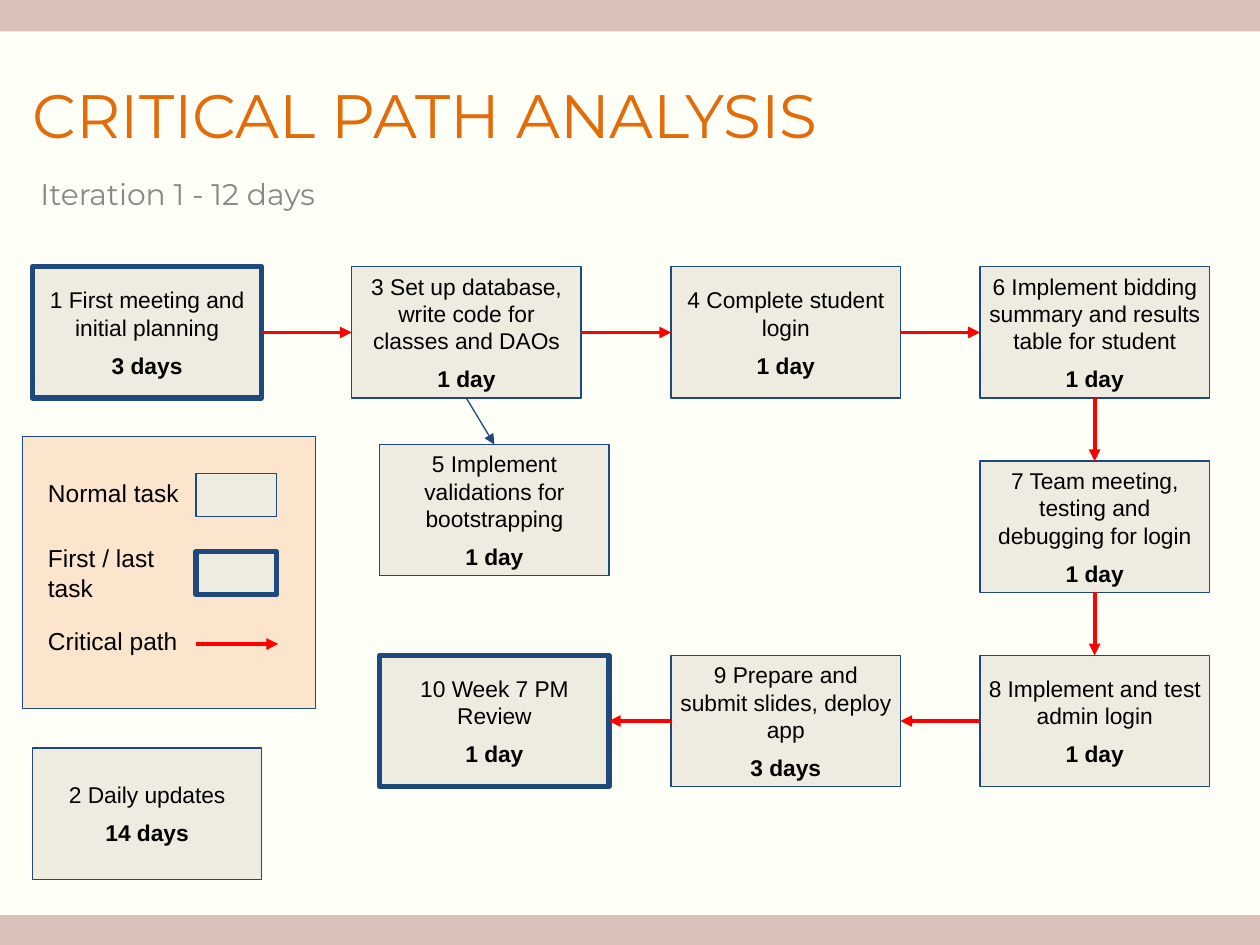
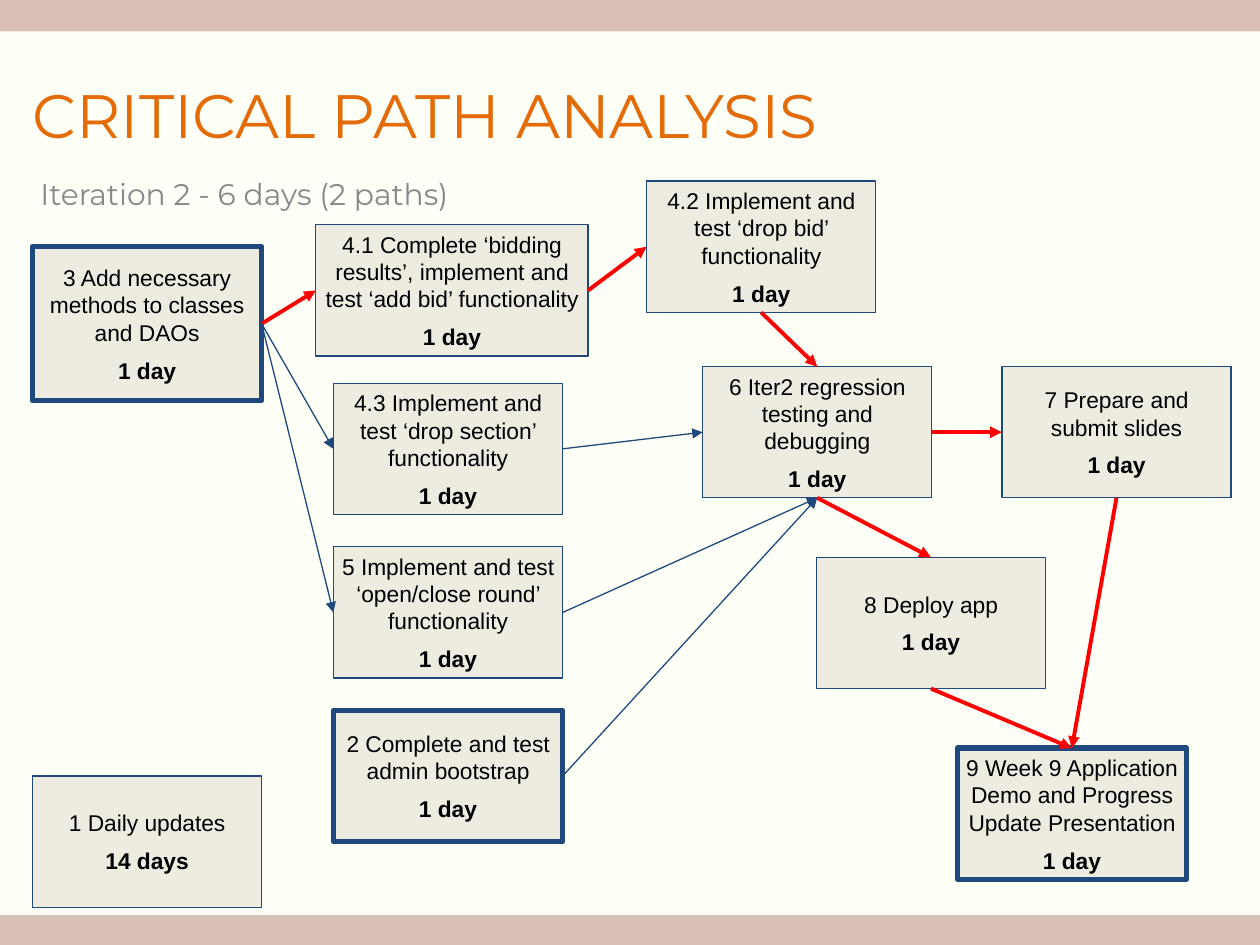
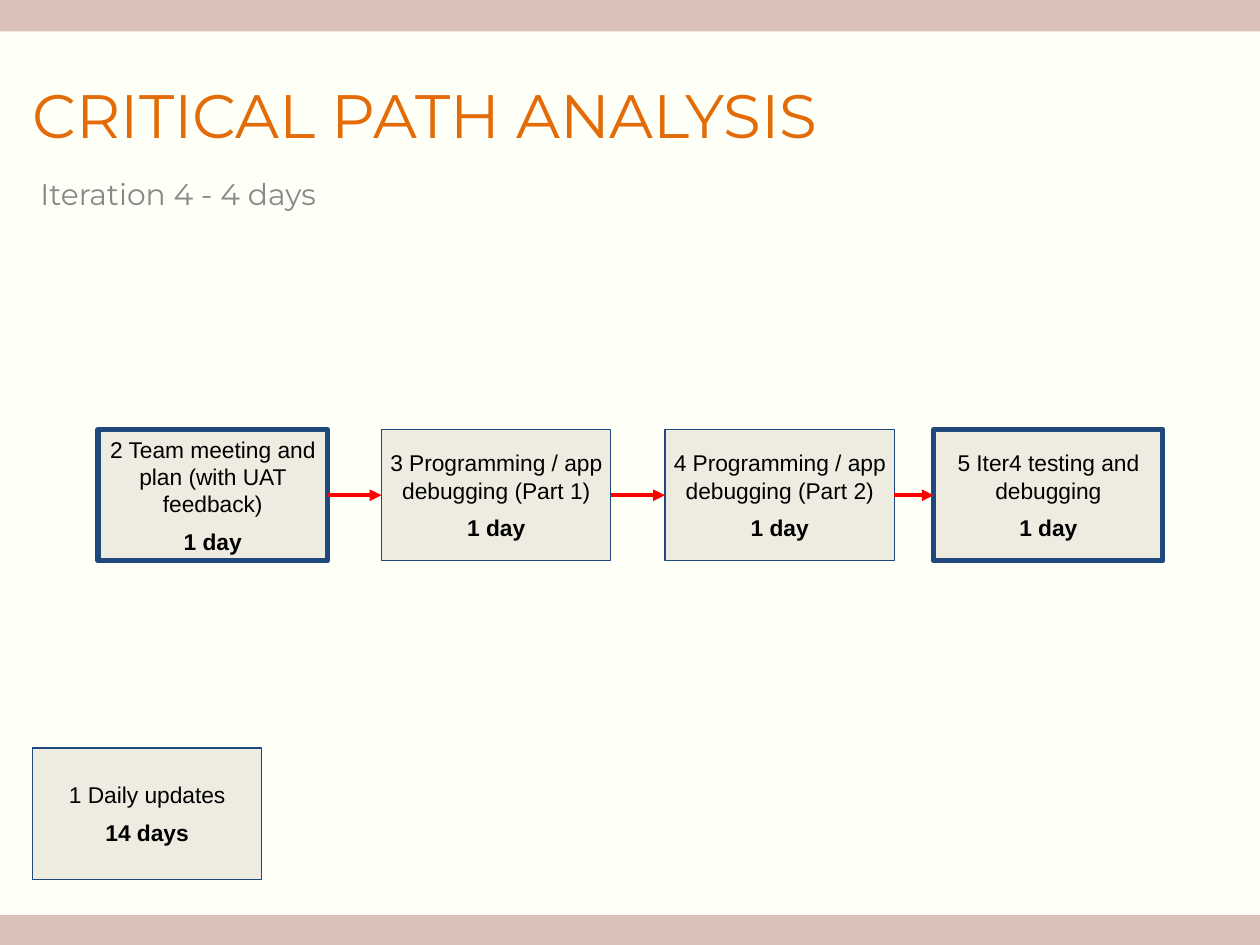
import lxml.etree
import pptx
import pptx.dml.color
import pptx.enum.shapes
import pptx.enum.text
import pptx.oxml.ns
import pptx.util

Pt = pptx.util.Pt
RGB = pptx.dml.color.RGBColor.from_string
qn = pptx.oxml.ns.qn
ALIGN = pptx.enum.text.PP_ALIGN
ANCHOR = pptx.enum.text.MSO_ANCHOR
RECTANGLE = pptx.enum.shapes.MSO_SHAPE.RECTANGLE
TOP, LEFT, BOTTOM, RIGHT = range(4)
NORMAL, MILESTONE, CRITICAL = "normal", "milestone", "critical"

theme = {
    "page": RGB("FEFFF7"),
    "band": RGB("D9C1BA"),
    "task": RGB("EEECE1"),
    "legend": RGB("FCE5CD"),
    "strokes": {
        NORMAL: (RGB("1F497D"), Pt(0.75)),
        MILESTONE: (RGB("1F497D"), Pt(3)),
        CRITICAL: (RGB("FF0000"), Pt(2.25)),
    },
    "text": {
        "title": {"name": "Montserrat", "size": Pt(35), "bold": False},
        "subtitle": {"name": "Montserrat", "size": Pt(17), "bold": False},
        "task": {"name": "Arial", "size": Pt(13)},
        "legend": {"name": "Arial", "size": Pt(14)},
    },
    "text_colors": {
        "title": RGB("E36C09"),
        "subtitle": RGB("888888"),
        "task": RGB("000000"),
        "legend": RGB("000000"),
    },
    "margins": {"title": (0, 0.7), "subtitle": (4.5, 4.5), "task": (4.5, 4.5), "legend": (7.2, 7.2)},
}

BOX_W, BOX_H = 131, 75
EDGE = 18.5
COL_2, COL_3, COL_4 = 201, 383.5, 560
REVIEW_X = 217
ROW_1, ROW_2, ROW_3 = (152.5 + 111 * row for row in range(3))
BRANCH_X = 190.5
TESTING_Y = 209.5
DAILY_Y = 427.5
SPRINT_Y = 245.5

iterations = [
    {
        "subtitle": "Iteration 1 - 12 days",
        "tasks": [
            ("1", "First meeting and initial planning", "3 days", EDGE, ROW_1, MILESTONE),
            ("3", "Set up database, write code for classes and DAOs", "1 day", COL_2, ROW_1, NORMAL),
            ("4", "Complete student login", "1 day", COL_3, ROW_1, NORMAL),
            ("5", "Implement validations for bootstrapping", "1 day", REVIEW_X, 254, NORMAL),
            ("6", "Implement bidding summary and results table for student", "1 day", COL_4, ROW_1, NORMAL),
            ("7", "Team meeting, testing and debugging for login", "1 day", COL_4, ROW_2, NORMAL),
            ("8", "Implement and test admin login", "1 day", COL_4, ROW_3, NORMAL),
            ("9", "Prepare and submit slides, deploy app", "3 days", COL_3, ROW_3, NORMAL),
            ("10", "Week 7 PM Review", "1 day", REVIEW_X, ROW_3, MILESTONE),
            ("2", "Daily updates", "14 days", EDGE, DAILY_Y, NORMAL),
        ],
        "routes": [
            ("1", RIGHT, "3", LEFT, CRITICAL),
            ("3", RIGHT, "4", LEFT, CRITICAL),
            ("4", RIGHT, "6", LEFT, CRITICAL),
            ("6", BOTTOM, "7", TOP, CRITICAL),
            ("7", BOTTOM, "8", TOP, CRITICAL),
            ("8", LEFT, "9", RIGHT, CRITICAL),
            ("9", LEFT, "10", RIGHT, CRITICAL),
            ("3", BOTTOM, "5", TOP, NORMAL),
        ],
    },
    {
        "subtitle": "Iteration 2 - 6 days (2 paths)",
        "tasks": [
            ("2", "Complete and test admin bootstrap", "1 day", BRANCH_X, 406, MILESTONE),
            ("3", "Add necessary methods to classes and DAOs", "1 day", EDGE, 141, MILESTONE),
            ("4.1", "Complete ‘bidding results’, implement and test ‘add bid’ functionality", "1 day", 180.5, 128.5, NORMAL),
            ("5", "Implement and test ‘open/close round’ functionality", "1 day", BRANCH_X, 312.5, NORMAL),
            ("6", "Iter2 regression testing and debugging", "1 day", 401.5, TESTING_Y, NORMAL),
            ("7", "Prepare and submit slides", "1 day", 572.5, TESTING_Y, NORMAL),
            ("8", "Deploy app", "1 day", 466.5, 318.5, NORMAL),
            ("4.3", "Implement and test ‘drop section’ functionality", "1 day", BRANCH_X, 219, NORMAL),
            ("4.2", "Implement and test ‘drop bid’ functionality", "1 day", 369.5, 103.5, NORMAL),
            ("9", "Week 9 Application Demo and Progress Update Presentation", "1 day", 547, DAILY_Y, MILESTONE),
            ("1", "Daily updates", "14 days", EDGE, 443.5, NORMAL),
        ],
        "sizes": {"3": (BOX_W, 88), "4.1": (155.5, BOX_H)},
        "routes": [
            ("3", RIGHT, "4.1", LEFT, CRITICAL),
            ("3", RIGHT, "4.3", LEFT, NORMAL),
            ("3", RIGHT, "5", LEFT, NORMAL),
            ("4.1", RIGHT, "4.2", LEFT, CRITICAL),
            ("4.3", RIGHT, "6", LEFT, NORMAL),
            ("5", RIGHT, "6", BOTTOM, NORMAL),
            ("4.2", BOTTOM, "6", TOP, CRITICAL),
            ("6", RIGHT, "7", LEFT, CRITICAL),
            ("8", BOTTOM, "9", TOP, CRITICAL),
            ("2", RIGHT, "6", BOTTOM, NORMAL),
            ("6", BOTTOM, "8", TOP, CRITICAL),
            ("7", BOTTOM, "9", TOP, CRITICAL),
        ],
    },
    {
        "subtitle": "Iteration 4 - 4 days",
        "tasks": [
            ("2", "Team meeting and plan (with UAT feedback)", "1 day", 56, SPRINT_Y, MILESTONE),
            ("3", "Programming / app debugging (Part 1)", "1 day", 218, SPRINT_Y, NORMAL),
            ("4", "Programming / app debugging (Part 2)", "1 day", 380, SPRINT_Y, NORMAL),
            ("5", "Iter4 testing and debugging", "1 day", 533.5, SPRINT_Y, MILESTONE),
            ("1", "Daily updates", "14 days", EDGE, DAILY_Y, NORMAL),
        ],
        "routes": [(str(n), RIGHT, str(n + 1), LEFT, CRITICAL) for n in (2, 3, 4)],
    },
]


def add_box(slide, left, top, width, height, fill, stroke=None):
    box = slide.shapes.add_shape(RECTANGLE, Pt(left), Pt(top), Pt(width), Pt(height))
    box.shadow.inherit = False
    box.fill.solid()
    box.fill.fore_color.rgb = fill
    if stroke:
        box.line.color.rgb, box.line.width = theme["strokes"][stroke]
    else:
        box.line.fill.background()
    return box


def add_arrow(slide, start_x, start_y, end_x, end_y, stroke):
    arrow = slide.shapes.add_connector(
        pptx.enum.shapes.MSO_CONNECTOR.STRAIGHT, Pt(start_x), Pt(start_y), Pt(end_x), Pt(end_y)
    )
    arrow.line.color.rgb, arrow.line.width = theme["strokes"][stroke]
    properties = arrow.element.spPr
    lxml.etree.SubElement(properties.find(qn("a:ln")), qn("a:tailEnd"), type="triangle")
    lxml.etree.SubElement(properties, qn("a:effectLst"))
    return arrow


prs = pptx.Presentation()
prs.slide_width, prs.slide_height = Pt(720), Pt(540)
layout = prs.slide_layouts[0]
layout.background.fill.solid()
layout.background.fill.fore_color.rgb = theme["page"]
for footer in list(layout.placeholders)[2:]:
    layout.shapes.element.remove(footer.element)

texts = []
slides = []
for iteration in iterations:
    slide = prs.slides.add_slide(layout)
    slides.append(slide)
    headings = [
        ("title", "CRITICAL PATH ANALYSIS", 43.2, 629, 52.5),
        ("subtitle", iteration["subtitle"], 95.8, 280, 43),
    ]
    for heading, (role, words, top, width, height) in zip(slide.placeholders, headings):
        placement = {"left": EDGE, "top": top, "width": width, "height": height}
        for side, value in placement.items():
            setattr(heading, side, Pt(value))
        heading.text_frame.text = words
        texts.append((heading.text_frame, role))

    tasks = {}
    for number, name, duration, left, top, stroke in iteration["tasks"]:
        width, height = iteration.get("sizes", {}).get(number, (BOX_W, BOX_H))
        task = add_box(slide, left, top, width, height, theme["task"], stroke)
        task.text_frame.text = f"{number} {name}\n{duration}"
        texts.append((task.text_frame, "task"))
        tasks[number] = task

    for origin, exit_side, target, entry_side, stroke in iteration["routes"]:
        route = add_arrow(slide, 0, 0, 0, 0, stroke)
        route.begin_connect(tasks[origin], exit_side)
        route.end_connect(tasks[target], entry_side)

first = slides[0]
for top, height in ((0, 18), (523, 17)):
    band = add_box(first, 0, top, 720, height, theme["band"])
    layout.shapes.element.insert(2, band.element)

add_box(first, 13, 249.3, 167.5, 155.5, theme["legend"], NORMAL)
for top, stroke in ((270.8, NORMAL), (315.3, MILESTONE)):
    add_box(first, 112, top, 46, 24.5, theme["task"], stroke)
add_arrow(first, 112, 368, 159, 368, CRITICAL)
for words, top in (("Normal task", 265.7), ("First / last task", 303.3), ("Critical path", 350.8)):
    label = first.shapes.add_textbox(Pt(20.3), Pt(top), Pt(95), Pt(26))
    label.text_frame.text = words
    texts.append((label.text_frame, "legend"))

for frame, role in texts:
    side_margin, top_margin = theme["margins"][role]
    frame_format = {
        "word_wrap": True,
        "auto_size": pptx.enum.text.MSO_AUTO_SIZE.NONE,
        "vertical_anchor": ANCHOR.MIDDLE if role == "task" else ANCHOR.TOP,
        "margin_left": Pt(side_margin),
        "margin_right": Pt(side_margin),
        "margin_top": Pt(top_margin),
        "margin_bottom": Pt(top_margin if role != "title" else 0),
    }
    for attribute, value in frame_format.items():
        setattr(frame, attribute, value)
    for position, paragraph in enumerate(frame.paragraphs):
        gap = Pt(6 * position)
        paragraph_format = {
            "alignment": ALIGN.CENTER if role == "task" else ALIGN.LEFT,
            "space_before": gap,
            "space_after": gap,
        }
        for attribute, value in paragraph_format.items():
            setattr(paragraph, attribute, value)
        font = paragraph.runs[0].font
        for attribute, value in theme["text"][role].items():
            setattr(font, attribute, value)
        font.color.rgb = theme["text_colors"][role]
        if position:
            font.bold = True

prs.save("out.pptx")
